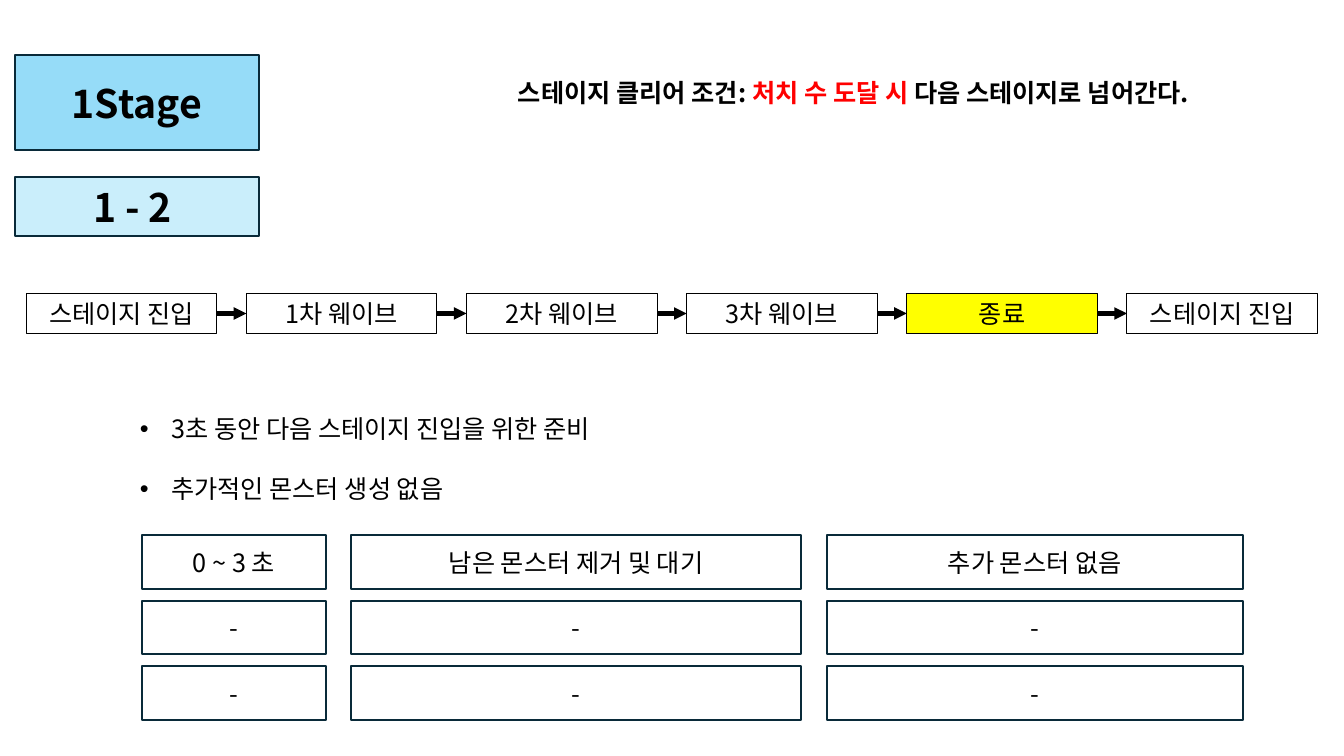
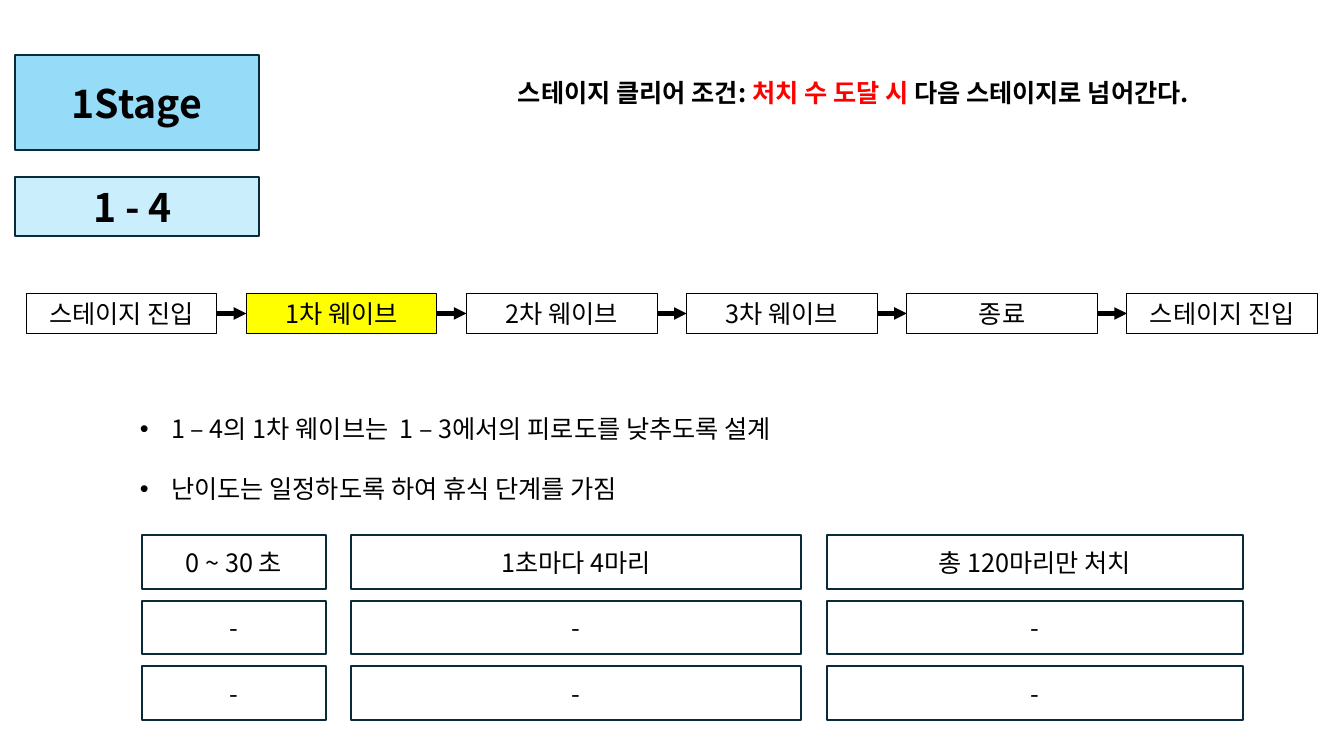
from dataclasses import dataclass

from lxml.etree import SubElement as Sub
from pptx import Presentation
from pptx.dml.color import RGBColor as Rgb
from pptx.enum.shapes import MSO_CONNECTOR as Link, MSO_SHAPE as Form
from pptx.enum.text import MSO_ANCHOR as Anchor, MSO_AUTO_SIZE as Fit, PP_ALIGN as Align
from pptx.oxml.ns import qn
from pptx.util import Inches, Pt


@dataclass(frozen=True)
class Theme:
    font: str = "Noto Sans CJK KR"
    head: int = 28
    body: int = 18
    ink: str = "000000"
    edge: str = "092A39"
    stage: str = "96DCF8"
    step: str = "CAEEFB"
    mark: str = "FFFF00"
    alert: str = "FF0000"


look = Theme()
deck = Presentation()
deck.slide_width, deck.slide_height = Inches(13.33), Inches(7.5)


def write(shape, *lines, size=look.body, bold=False, align=Align.CENTER,
          anchor=Anchor.MIDDLE, bullet=False, space=1.0):
    """Fill a shape with lines; a line is a string or a list of (text, colour)."""
    frame = shape.text_frame
    frame.word_wrap, frame.auto_size = True, Fit.NONE
    frame.vertical_anchor = anchor
    for i, line in enumerate(lines):
        para = frame.add_paragraph() if i else frame.paragraphs[0]
        para.alignment, para.line_spacing = align, space
        if bullet:
            props = para._p.get_or_add_pPr()
            props.set("marL", str(Inches(0.31)))
            props.set("indent", str(-Inches(0.31)))
            Sub(props, qn("a:buFont"), typeface="Arial")
            Sub(props, qn("a:buChar"), char="•")
        for text, color in [(line, look.ink)] if isinstance(line, str) else line:
            run = para.add_run()
            run.text = text
            run.font.size, run.font.bold = Pt(size), bold
            run.font.color.rgb = Rgb.from_string(color)
            run.font.name = look.font
            Sub(run._r.get_or_add_rPr(), qn("a:ea"), typeface=look.font)


def place(shape, x, y, wide, high, fill=None, edge=None, weight=1.5):
    """Set a shape on a grid of 100 columns by 100 rows and paint it."""
    col, row = deck.slide_width / 100, deck.slide_height / 100
    shape.left, shape.top = round(x * col), round(y * row)
    shape.width, shape.height = round(wide * col), round(high * row)
    if fill:
        shape.fill.solid()
        shape.fill.fore_color.rgb = Rgb.from_string(fill)
    else:
        shape.fill.background()
    if edge:
        shape.line.color.rgb = Rgb.from_string(edge)
        shape.line.width = Pt(weight)
    return shape


# Shared wording and grid
goal = [("스테이지 클리어 조건: ", look.ink), ("처치 수 도달 시 ", look.alert),
        ("다음 스테이지로 넘어간다.", look.ink)]
flow = ["스테이지 진입", "1차 웨이브", "2차 웨이브", "3차 웨이브", "종료", "스테이지 진입"]
widths, gap, pitch = [13.65, 33.53, 30.98], 1.87, 8.67

# Per slide: step, index of the marked phase, notes, first table row
pages = [
    ("1 - 2 ", 4,
     ["3초 동안 다음 스테이지 진입을 위한 준비", "추가적인 몬스터 생성 없음"],
     ["0 ~ 3 초", "남은 몬스터 제거 및 대기", "추가 몬스터 없음"]),
    ("1 - 4 ", 1,
     ["1 – 4의 1차 웨이브는  1 – 3에서의 피로도를 낮추도록 설계",
      "난이도는 일정하도록 하여 휴식 단계를 가짐"],
     ["0 ~ 30 초", "1초마다 4마리", "총 120마리만 처치"]),
]

for step, active, notes, first in pages:
    slide = deck.slides.add_slide(deck.slide_layouts[5])
    shapes = slide.shapes

    # Stage title, step label and clear condition
    title = place(shapes.title, 1.13, 7.33, 18.15, 12.53, look.stage, look.edge)
    write(title, "1Stage", size=look.head, bold=True)
    label = shapes.add_shape(Form.RECTANGLE, 0, 0, 0, 0)
    label.shadow.inherit = False
    place(label, 1.13, 23.47, 18.15, 7.73, look.step, look.edge)
    write(label, step, size=look.head, bold=True)
    rule = place(shapes.add_textbox(0, 0, 0, 0), 37.8, 9.6, 59.7, 5.33)
    write(rule, goal, bold=True, align=Align.LEFT)

    # Flow of phases, joined by arrows
    last = None
    for i, phase in enumerate(flow):
        box = shapes.add_shape(Form.RECTANGLE, 0, 0, 0, 0)
        box.shadow.inherit = False
        place(box, 1.95 + i * 16.38, 38.8, 14.18, 5.33,
              look.mark if i == active else None, look.ink, 0.75)
        write(box, phase)
        if last is not None:
            arrow = shapes.add_connector(Link.STRAIGHT, 0, 0, 0, 0)
            arrow.begin_connect(last, 3)
            arrow.end_connect(box, 1)
            arrow.line.color.rgb = Rgb.from_string(look.ink)
            arrow.line.width = Pt(3)
            Sub(arrow.line._get_or_add_ln(), qn("a:tailEnd"), type="triangle")
            Sub(arrow._element.spPr, qn("a:effectLst"))
        last = box

    # Notes on the marked phase
    list_box = place(shapes.add_textbox(0, 0, 0, 0), 9.68, 50, 81.9, 16.27)
    write(list_box, *notes, align=Align.LEFT, anchor=Anchor.TOP, bullet=True, space=2.0)

    # Separate boxes for time, spawn and total
    for r, cells in enumerate([first, ["-"] * 3, ["-"] * 3]):
        x = 10.58
        for wide, text in zip(widths, cells):
            cell = shapes.add_shape(Form.RECTANGLE, 0, 0, 0, 0)
            cell.shadow.inherit = False
            place(cell, x, 70.8 + r * pitch, wide, 7.07, edge=look.edge)
            write(cell, text)
            x += wide + gap

deck.save("out.pptx")
